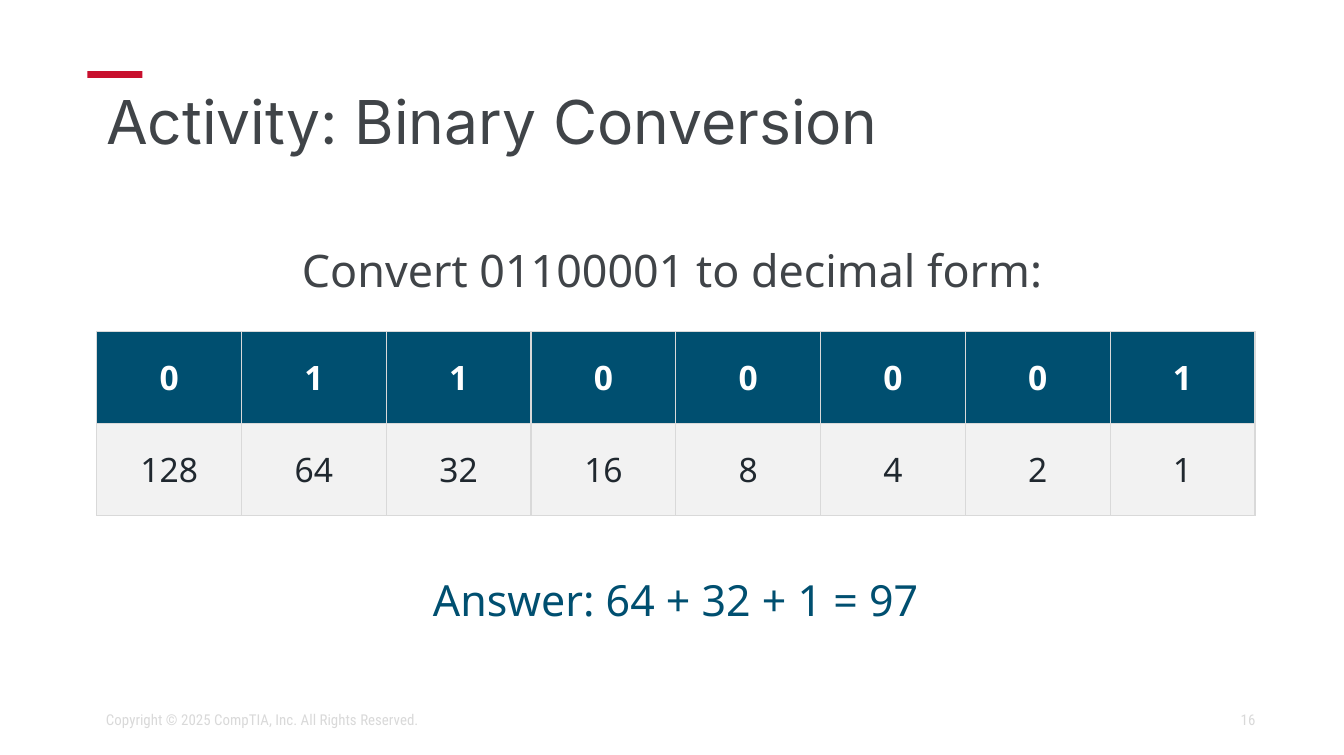
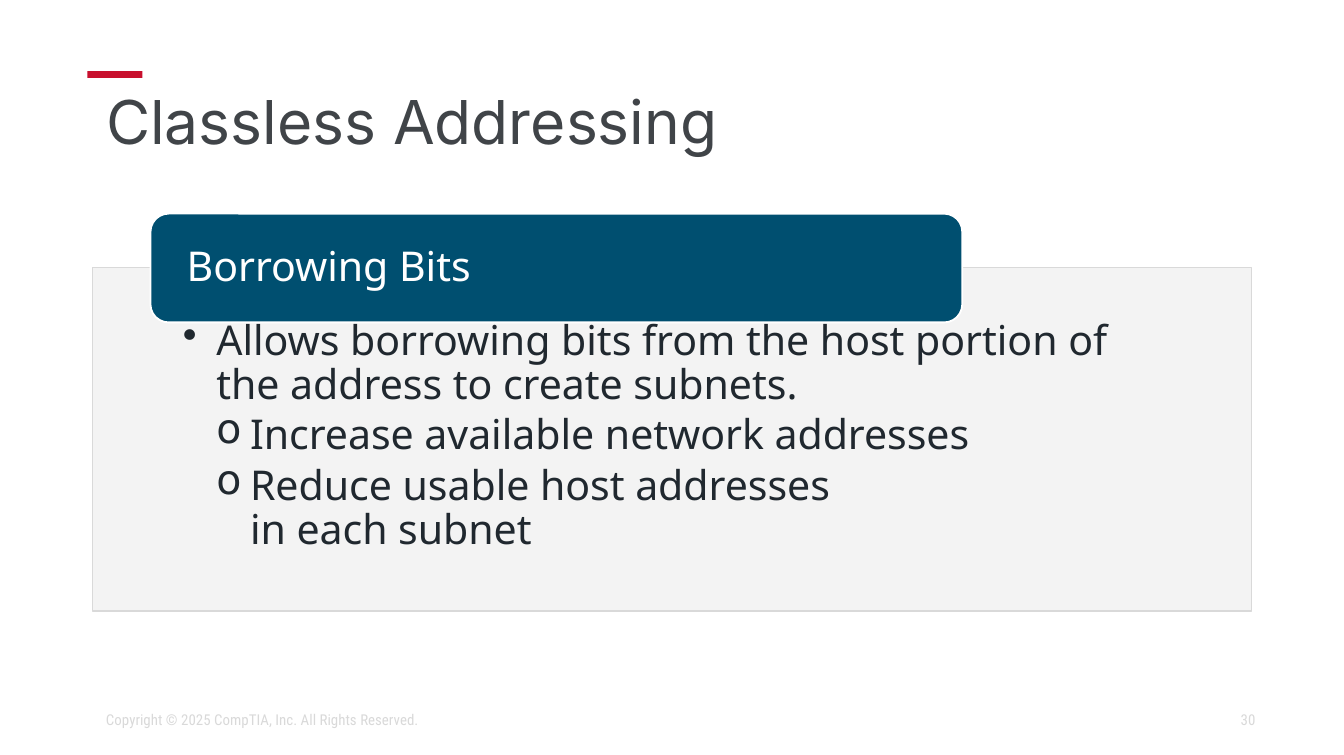
import pptx
import pptx.dml.color
import pptx.enum.shapes
import pptx.enum.text
import pptx.oxml
import pptx.oxml.ns
import pptx.util

SCALE = 9144  # EMU in one px, 100 px to the inch
RED, BLUE, SLATE, INK = "C8102E", "004F70", "404448", "20282F"
WHITE, PALE, GREY = "FFFFFF", "F2F2F2", "D9D9D9"
HEAD, BODY, SMALL = "Inter", "Noto Sans", "Roboto Condensed"
NOTICE = "Copyright © 2025 CompTIA, Inc. All Rights Reserved."

KIND = pptx.enum.shapes.MSO_SHAPE
ALIGN = pptx.enum.text.PP_ALIGN
ANCHOR = pptx.enum.text.MSO_ANCHOR
FIT = pptx.enum.text.MSO_AUTO_SIZE


def px(*sizes):
    return [pptx.util.Emu(size * SCALE) for size in sizes]


def color(text):
    return pptx.dml.color.RGBColor.from_string(text)


def node(tag, **attrs):
    item = pptx.oxml.parse_xml(f"<a:{tag} {pptx.oxml.ns.nsdecls('a')}/>")
    for name, value in attrs.items():
        item.set(name, str(value))
    return item


def paint(item, tint):
    item.fill.solid()
    item.fill.fore_color.rgb = color(tint)


def style(para, face, size, tint, align=ALIGN.LEFT, bold=False):
    para.alignment = align
    para.font.name = face
    para.font.size = pptx.util.Pt(size)
    para.font.bold = bold
    para.font.color.rgb = color(tint)


def inset(frame, left, top, right, bottom):
    (frame.margin_left, frame.margin_top,
     frame.margin_right, frame.margin_bottom) = px(left, top, right, bottom)


def label(slide, box, text, face, size, tint, align=ALIGN.LEFT, anchor=ANCHOR.TOP):
    frame = slide.shapes.add_textbox(*px(*box)).text_frame
    frame.word_wrap = True
    frame.vertical_anchor = anchor
    frame.text = text
    style(frame.paragraphs[0], face, size, tint, align)


def panel(slide, kind, box, fill, edge=None, width=0.75):
    shape = slide.shapes.add_shape(kind, *px(*box))
    shape.shadow.inherit = False
    paint(shape, fill)
    if edge:
        shape.line.color.rgb = color(edge)
        shape.line.width = pptx.util.Pt(width)
    else:
        shape.line.fill.background()
    shape.text_frame.word_wrap = True
    return shape


def fade(shape, percent):
    """Make a solid fill this opaque."""
    tint = shape.fill._xPr.find(".//" + pptx.oxml.ns.qn("a:srgbClr"))
    tint.append(node("alpha", val=percent * 1000))


def bullet(para, mark, left, hang):
    props = para._p.get_or_add_pPr()
    left, hang = px(left, hang)
    props.set("marL", str(left))
    props.set("indent", str(-hang))
    props.append(node("buChar", char=mark))


def border(cell, tint, width):
    props = cell._tc.get_or_add_tcPr()
    for place, side in enumerate(("lnL", "lnR", "lnT", "lnB")):
        line = node(side, w=pptx.util.Pt(width))
        fill = node("solidFill")
        fill.append(node("srgbClr", val=tint))
        line.append(fill)
        props.insert(place, line)


def grid(slide, box, rows, looks):
    """Draw a table; looks gives fill, text colour and bold for each row."""
    table = slide.shapes.add_table(len(rows), len(rows[0]), *px(*box)).table
    table.horz_banding = False
    for r, (row, (fill, tint, bold)) in enumerate(zip(rows, looks)):
        for c, text in enumerate(row):
            cell = table.cell(r, c)
            paint(cell, fill)
            border(cell, GREY, 0.75)
            cell.vertical_anchor = ANCHOR.MIDDLE
            cell.text = text
            style(cell.text_frame.paragraphs[0], BODY, 18, tint, ALIGN.CENTER, bold)


def page(deck, title, number):
    """Add a slide with the shared bar, title and footer."""
    slide = deck.slides.add_slide(deck.slide_layouts[5])
    panel(slide, KIND.RECTANGLE, (65, 53, 41, 5), RED)
    head = slide.shapes.title
    head.left, head.top, head.width, head.height = px(69, 64, 862, 63)
    frame = head.text_frame
    frame.auto_size = FIT.NONE
    frame.vertical_anchor = ANCHOR.TOP
    frame.text = title
    para = frame.paragraphs[0]
    para.line_spacing = 0.9
    style(para, HEAD, 32.4, SLATE)
    label(slide, (706, 521, 238, 30), str(number), SMALL, 8, GREY,
          ALIGN.RIGHT, ANCHOR.MIDDLE)
    label(slide, (69, 521, 431, 30), NOTICE, SMALL, 8, GREY, anchor=ANCHOR.MIDDLE)
    return slide


def binary(deck):
    slide = page(deck, "Activity: Binary Conversion", 16)
    label(slide, (72, 176, 856, 50), "Convert 01100001 to decimal form:",
          BODY, 24, SLATE, ALIGN.CENTER)
    label(slide, (198, 422, 610, 49), "Answer: 64 + 32 + 1 = 97",
          BODY, 23, BLUE, ALIGN.CENTER)
    bits = "01100001"
    powers = [str(2 ** n) for n in reversed(range(len(bits)))]
    grid(slide, (72, 247, 862, 137), [bits, powers],
         [(BLUE, WHITE, True), (PALE, INK, False)])


def borrow(deck):
    slide = page(deck, "Classless Addressing", 30)
    card = panel(slide, KIND.RECTANGLE, (69, 199, 862, 256), PALE, GREY)
    fade(card, 90)
    frame = card.text_frame
    frame.vertical_anchor = ANCHOR.TOP
    inset(frame, 67, 39, 67, 17)
    points = [
        ("•", 25, "Allows borrowing bits from the host portion of "
                  "the address to create subnets."),
        ("o", 50, "Increase available network addresses"),
        ("o", 50, "Reduce usable host addresses \vin each subnet"),
    ]
    frame.text = "\n".join(text for _, _, text in points)
    for para, (mark, left, _) in zip(frame.paragraphs, points):
        para.level = left // 25
        bullet(para, mark, left, 25)
        para.line_spacing = 0.9
        para.space_after = pptx.util.Pt(3.3)
        style(para, BODY, 22, INK)

    tab = panel(slide, KIND.ROUNDED_RECTANGLE, (112, 159, 604, 81), BLUE, WHITE, 1)
    frame = tab.text_frame
    frame.vertical_anchor = ANCHOR.MIDDLE
    inset(frame, 23, 0, 23, 0)
    frame.text = "Borrowing Bits"
    para = frame.paragraphs[0]
    para.line_spacing = 0.9
    style(para, BODY, 22, WHITE)


def main():
    deck = pptx.Presentation()
    deck.slide_width, deck.slide_height = px(1000, 562)
    binary(deck)
    borrow(deck)
    deck.save("out.pptx")


if __name__ == "__main__":
    main()
